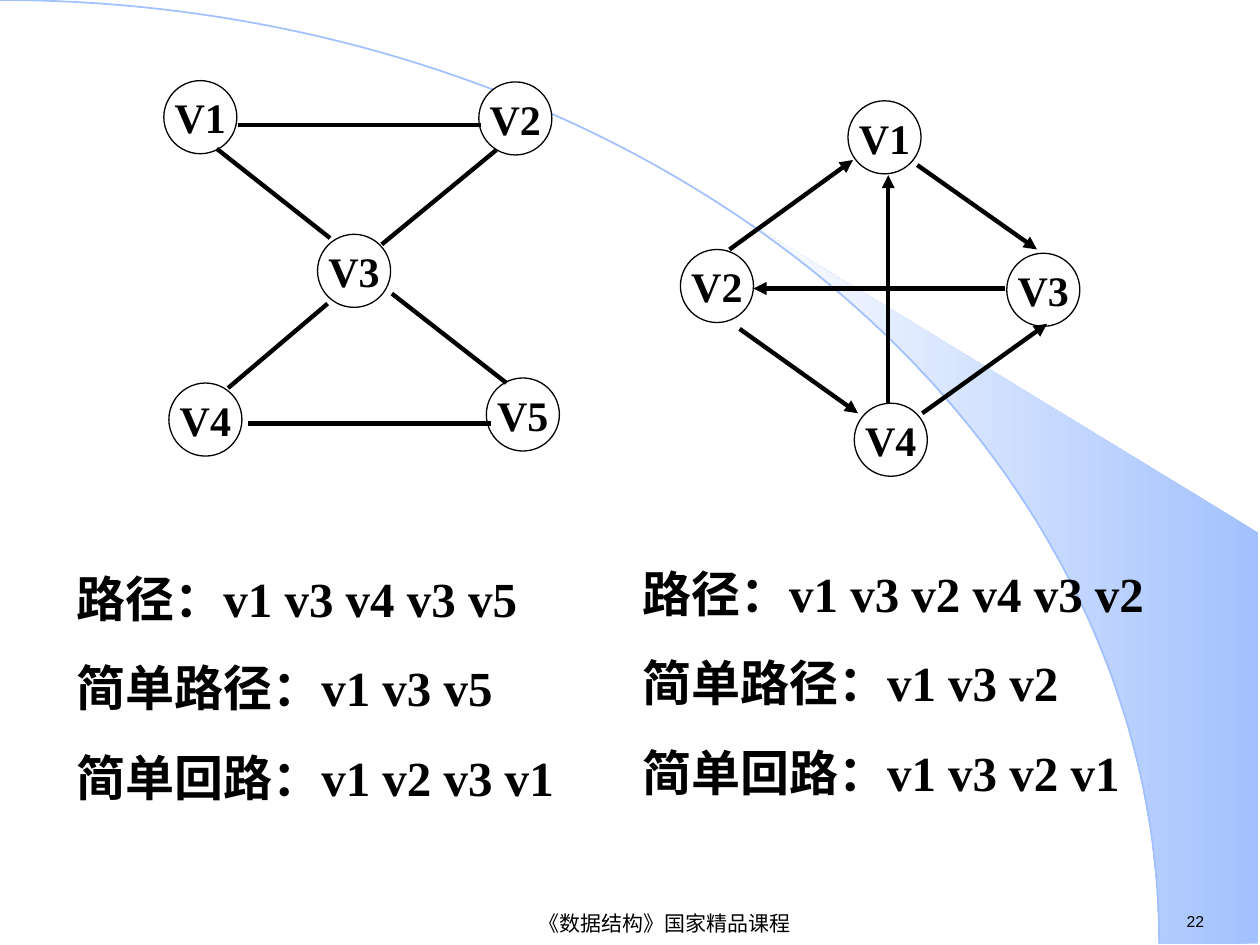
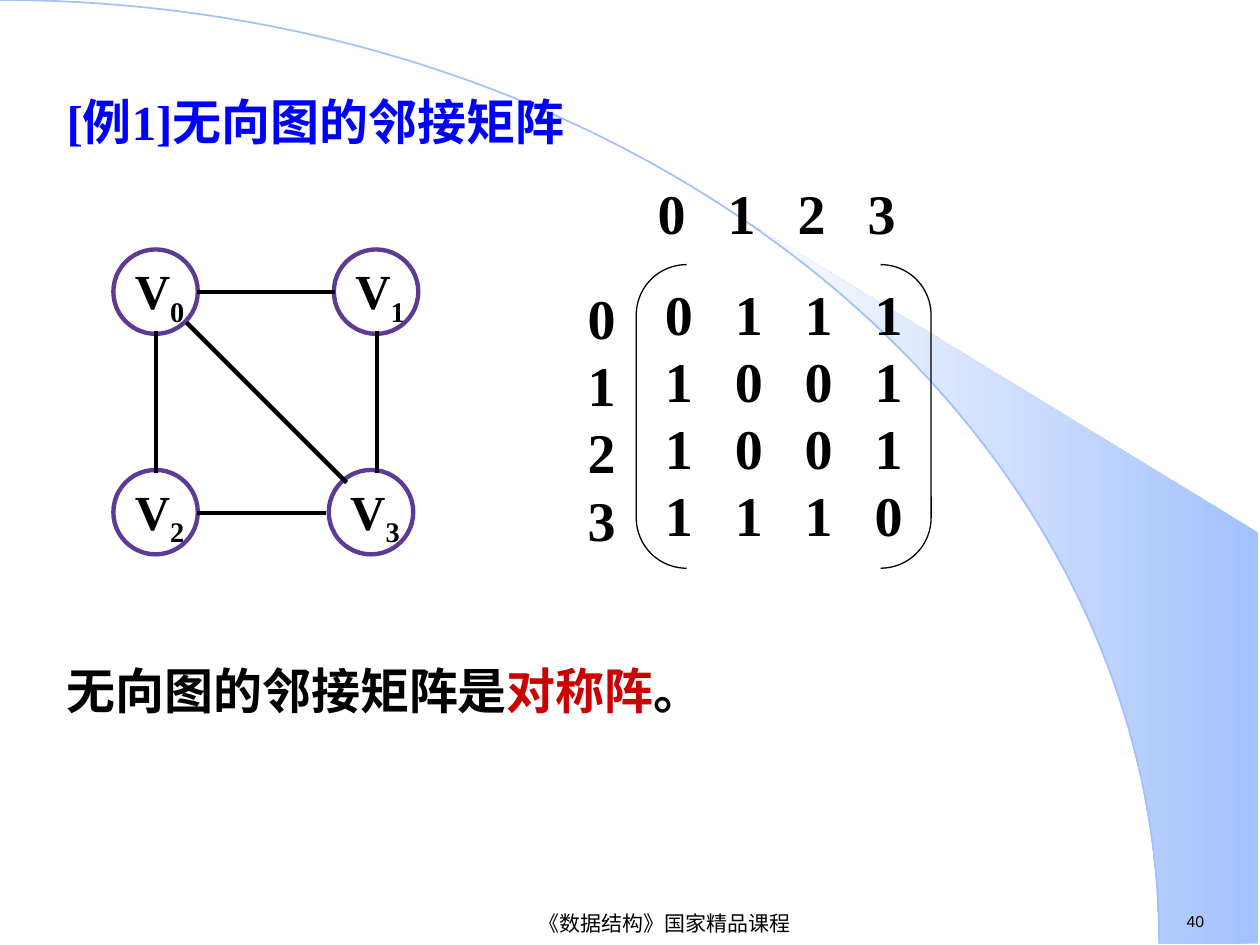
from dataclasses import dataclass, field
from math import cos, radians, sin
from typing import Any, NamedTuple, Optional, Sequence

from lxml.etree import SubElement
from pptx import Presentation
from pptx.dml.color import RGBColor
from pptx.enum.shapes import MSO_CONNECTOR, MSO_SHAPE
from pptx.enum.text import MSO_ANCHOR, PP_ALIGN
from pptx.oxml.ns import qn
from pptx.util import Emu, Inches, Pt

# Page grid: 100 columns by 75 rows
PAGE_WIDTH, PAGE_HEIGHT = Inches(10), Inches(7.5)
COLUMNS, ROWS = 100, 75


def columns(count: float) -> Emu:
    return Emu(round(PAGE_WIDTH * count / COLUMNS))


def rows(count: float) -> Emu:
    return Emu(round(PAGE_HEIGHT * count / ROWS))


def font_format(name: str, size: float, bold: bool) -> dict[str, Any]:
    return {"name": name, "size": Pt(size), "bold": bold}


@dataclass(frozen=True)
class Theme:
    ink: str = "000000"
    paper: str = "FFFFFF"
    heading: str = "0000FF"
    emphasis: str = "CC0000"
    ring: str = "5D3B95"
    band: str = "A2C1FE"
    band_fade: str = "FEFEFE"
    thin: float = 0.75
    thick: float = 2.5
    number: dict = field(default_factory=lambda: font_format("Arial", 9, False))
    footer: dict = field(default_factory=lambda: font_format("Arial", 12, False))
    node: dict = field(default_factory=lambda: font_format("Times New Roman", 24, True))
    body: dict = field(default_factory=lambda: font_format("Times New Roman", 28, True))
    matrix: dict = field(default_factory=lambda: font_format("Times New Roman", 32, True))


THEME = Theme()
COURSE = "《数据结构》国家精品课程"


class Frame(NamedTuple):
    left: float
    top: float
    width: float
    height: float

    def lengths(self) -> tuple[Emu, Emu, Emu, Emu]:
        return columns(self.left), rows(self.top), columns(self.width), rows(self.height)


class Inset(NamedTuple):
    left: float = 0
    right: float = 0
    edge: float = 0


class Span(NamedTuple):
    text: str
    color: str = THEME.ink
    baseline: int = 0


class Node(NamedTuple):
    label: str
    left: float
    top: float


class Edge(NamedTuple):
    start: tuple[float, float]
    end: tuple[float, float]
    arrow: bool = False


@dataclass(frozen=True)
class TextStyle:
    font: dict
    align: PP_ALIGN = PP_ALIGN.LEFT
    anchor: MSO_ANCHOR = MSO_ANCHOR.TOP
    wrap: bool = True
    inset: Inset = Inset(1, 1, 0.5)
    space_before: float = 0
    tab_step: float = 0


# Text and shape helpers
def apply_format(target: Any, values: dict[str, Any]) -> None:
    for name, value in values.items():
        setattr(target, name, value)


def write_text(shape: Any, lines: Sequence[Sequence[Span]], style: TextStyle) -> None:
    frame = shape.text_frame
    edge = rows(style.inset.edge)
    apply_format(frame, {
        "word_wrap": style.wrap, "vertical_anchor": style.anchor,
        "margin_left": columns(style.inset.left), "margin_right": columns(style.inset.right),
        "margin_top": edge, "margin_bottom": edge,
    })
    for index, line in enumerate(lines):
        para = frame.paragraphs[0] if index == 0 else frame.add_paragraph()
        para.alignment = style.align
        if index and style.space_before:
            para.space_before = Pt(style.space_before)
        if style.tab_step:
            tabs = SubElement(para._p.get_or_add_pPr(), qn("a:tabLst"))
            for stop in range(1, 4):
                SubElement(tabs, qn("a:tab"), pos=str(columns(stop * style.tab_step)), algn="l")
        for span in line:
            run = para.add_run()
            run.text = span.text
            apply_format(run.font, style.font)
            run.font.color.rgb = RGBColor.from_string(span.color)
            if span.baseline:
                run._r.get_or_add_rPr().set("baseline", str(span.baseline * 1000))


def add_text(page: Any, frame: Frame, lines: Sequence[Sequence[Span]], style: TextStyle) -> None:
    write_text(page.shapes.add_textbox(*frame.lengths()), lines, style)


def paint(shape: Any, line: Optional[str], width: float = 0, fill: Optional[str] = None) -> None:
    shape.shadow.inherit = False
    if fill:
        shape.fill.solid()
        shape.fill.fore_color.rgb = RGBColor.from_string(fill)
    else:
        shape.fill.background()
    if line:
        shape.line.color.rgb = RGBColor.from_string(line)
        shape.line.width = Pt(width)
    else:
        shape.line.fill.background()


def add_edge(page: Any, edge: Edge) -> None:
    line = page.shapes.add_connector(
        MSO_CONNECTOR.STRAIGHT, columns(edge.start[0]), rows(edge.start[1]),
        columns(edge.end[0]), rows(edge.end[1]))
    line.line.color.rgb = RGBColor.from_string(THEME.ink)
    line.line.width = Pt(THEME.thick)
    if edge.arrow:
        SubElement(line.line._get_or_add_ln(), qn("a:tailEnd"), type="triangle")
    SubElement(line._element.spPr, qn("a:effectLst"))


# Shared backdrop, footer and page number
SWEEP_WIDTH, SWEEP_HEIGHT = 92, 74.9
WEDGE_START, WEDGE_END, WEDGE_STEPS = 40, 90, 15


def sweep_point(degree: float) -> tuple[Emu, Emu]:
    """A point on the quarter ellipse from the top left to the bottom right."""
    angle = radians(degree)
    return columns(SWEEP_WIDTH * sin(angle)), rows(SWEEP_HEIGHT * (1 - cos(angle)))


def add_wedge(page: Any) -> None:
    step = (WEDGE_END - WEDGE_START) / WEDGE_STEPS
    points = [sweep_point(WEDGE_START + step * index) for index in range(WEDGE_STEPS + 1)]
    points += [(columns(99.9), rows(74.9)), (columns(99.9), rows(42.3))]
    builder = page.shapes.build_freeform(*points[0])
    builder.add_line_segments(points[1:], close=True)
    wedge = builder.convert_to_shape()
    paint(wedge, None)
    wedge.fill.gradient()
    wedge.fill.gradient_angle = 180
    for stop, color in zip(wedge.fill.gradient_stops, (THEME.band, THEME.band_fade)):
        stop.color.rgb = RGBColor.from_string(color)


def add_page(deck: Any, number: int) -> Any:
    page = deck.slides.add_slide(deck.slide_layouts[6])
    add_wedge(page)
    sweep = Frame(-SWEEP_WIDTH, 0, 2 * SWEEP_WIDTH, 2 * SWEEP_HEIGHT)
    paint(page.shapes.add_shape(MSO_SHAPE.ARC, *sweep.lengths()), THEME.band, 1)
    add_text(page, Frame(93.2, 71.9, 7.7, 2.5), [[Span(str(number))]],
             TextStyle(THEME.number, wrap=False))
    add_text(page, Frame(24, 72.1, 57.5, 2.4), [[Span(COURSE)]],
             TextStyle(THEME.footer, PP_ALIGN.CENTER, MSO_ANCHOR.MIDDLE, wrap=False))
    return page


# Page 22: paths in an undirected and a directed graph
CROSSING_ARROWS = [
    Edge((70.5, 32), (70.5, 13.9), True),
    Edge((79.8, 22.9), (59.8, 22.9), True),
]
PATH_NODES = [
    Node("V5", 38.6, 30), Node("V4", 13.4, 30.4), Node("V2", 38, 6.5),
    Node("V1", 13, 6.4), Node("V3", 25.2, 18.6),
    Node("V1", 67.3, 8), Node("V2", 54, 19.8), Node("V3", 79.9, 20.1), Node("V4", 67.8, 32),
]
PATH_EDGES = [
    Edge((18.9, 9.9), (38.2, 9.9)), Edge((19.7, 33.6), (39, 33.6)),
    Edge((18.1, 30.8), (26, 24.1)), Edge((31.1, 23.3), (40.2, 30.4)),
    Edge((17.2, 11.8), (26.2, 18.9)), Edge((30.3, 19.4), (39.4, 11.9)),
    Edge((72.8, 13.1), (82.3, 19.8), True), Edge((58.7, 26.1), (68.1, 32.8), True),
    Edge((57.9, 19.8), (67.7, 12.7), True), Edge((73.2, 32.8), (83.1, 25.7), True),
]
PATH_KINDS = ("路径", "简单路径", "简单回路")
PATH_LISTS = [
    (Frame(5.1, 44.6, 42.9, 19.9), ("v1 v3 v4 v3 v5", "v1 v3 v5", "v1 v2 v3 v1")),
    (Frame(50, 44.2, 44.1, 19.9), ("v1 v3 v2 v4 v3 v2", "v1 v3 v2", "v1 v3 v2 v1")),
]


def build_paths(deck: Any) -> None:
    page = add_page(deck, 22)
    for edge in CROSSING_ARROWS:
        add_edge(page, edge)
    style = TextStyle(THEME.node, PP_ALIGN.CENTER, MSO_ANCHOR.MIDDLE, wrap=False)
    for node in PATH_NODES:
        frame = Frame(node.left, node.top, 5.8, 5.8)
        circle = page.shapes.add_shape(MSO_SHAPE.FLOWCHART_CONNECTOR, *frame.lengths())
        paint(circle, THEME.ink, THEME.thin, THEME.paper)
        write_text(circle, [[Span(node.label)]], style)
    for edge in PATH_EDGES:
        add_edge(page, edge)
    for frame, routes in PATH_LISTS:
        lines = [[Span(f"{kind}：{route}")] for kind, route in zip(PATH_KINDS, routes)]
        add_text(page, frame, lines, TextStyle(THEME.body, space_before=17.5))


# Page 40: adjacency matrix of an undirected graph
MATRIX = ("0111", "1001", "1001", "1110")
INDEXES = "0123"
MATRIX_STEP = 5.55
RING_SIZE = 6.7
RING_NODES = [Node("0", 9, 19.8), Node("3", 26.1, 37.3), Node("2", 9, 37.3), Node("1", 26.5, 19.8)]
RING_EDGES = [
    Edge((15.6, 23.2), (26.6, 23.2)), Edge((29.9, 26.3), (29.9, 37.5)),
    Edge((15.6, 40.7), (25.9, 40.7)), Edge((12.4, 26.3), (12.4, 37.5)),
    Edge((14.8, 25.6), (27.5, 38.3)),
]


def build_adjacency(deck: Any) -> None:
    page = add_page(deck, 40)
    body = TextStyle(THEME.body)
    add_text(page, Frame(4.3, 6.8, 83.5, 6), [[Span("[例1]无向图的邻接矩阵", THEME.heading)]], body)
    conclusion = [Span("无向图的邻接矩阵是"), Span("对称阵", THEME.emphasis), Span("。")]
    add_text(page, Frame(4.3, 51.9, 83.5, 6), [conclusion], body)

    # Matrix with its row and column indexes
    add_text(page, Frame(45, 22.5, 5.5, 23), [[Span(index)] for index in INDEXES],
             TextStyle(THEME.matrix, PP_ALIGN.CENTER, inset=Inset()))
    bracket = page.shapes.add_shape(
        MSO_SHAPE.DOUBLE_BRACKET, *Frame(50.5, 21, 23.4, 24.1).lengths())
    bracket.adjustments[0] = 0.171
    paint(bracket, THEME.ink, THEME.thin)
    write_text(bracket, [[Span("\t".join(values))] for values in MATRIX],
               TextStyle(THEME.matrix, inset=Inset(left=1.1), tab_step=MATRIX_STEP))
    add_text(page, Frame(52.2, 14.2, 20.8, 6.9), [[Span("\t".join(INDEXES))]],
             TextStyle(THEME.matrix, inset=Inset(), tab_step=MATRIX_STEP))

    # Graph
    label_style = TextStyle(THEME.body, inset=Inset())
    for node in RING_NODES:
        add_text(page, Frame(node.left + 1.7, node.top + 0.9, 5, 6),
                 [[Span("V"), Span(node.label, baseline=-25)]], label_style)
        frame = Frame(node.left, node.top, RING_SIZE, RING_SIZE)
        ring = page.shapes.add_shape(MSO_SHAPE.OVAL, *frame.lengths())
        paint(ring, THEME.ring, THEME.thick)
    for edge in RING_EDGES:
        add_edge(page, edge)


def main() -> None:
    deck = Presentation()
    deck.slide_width, deck.slide_height = PAGE_WIDTH, PAGE_HEIGHT
    build_paths(deck)
    build_adjacency(deck)
    deck.save("out.pptx")


if __name__ == "__main__":
    main()
